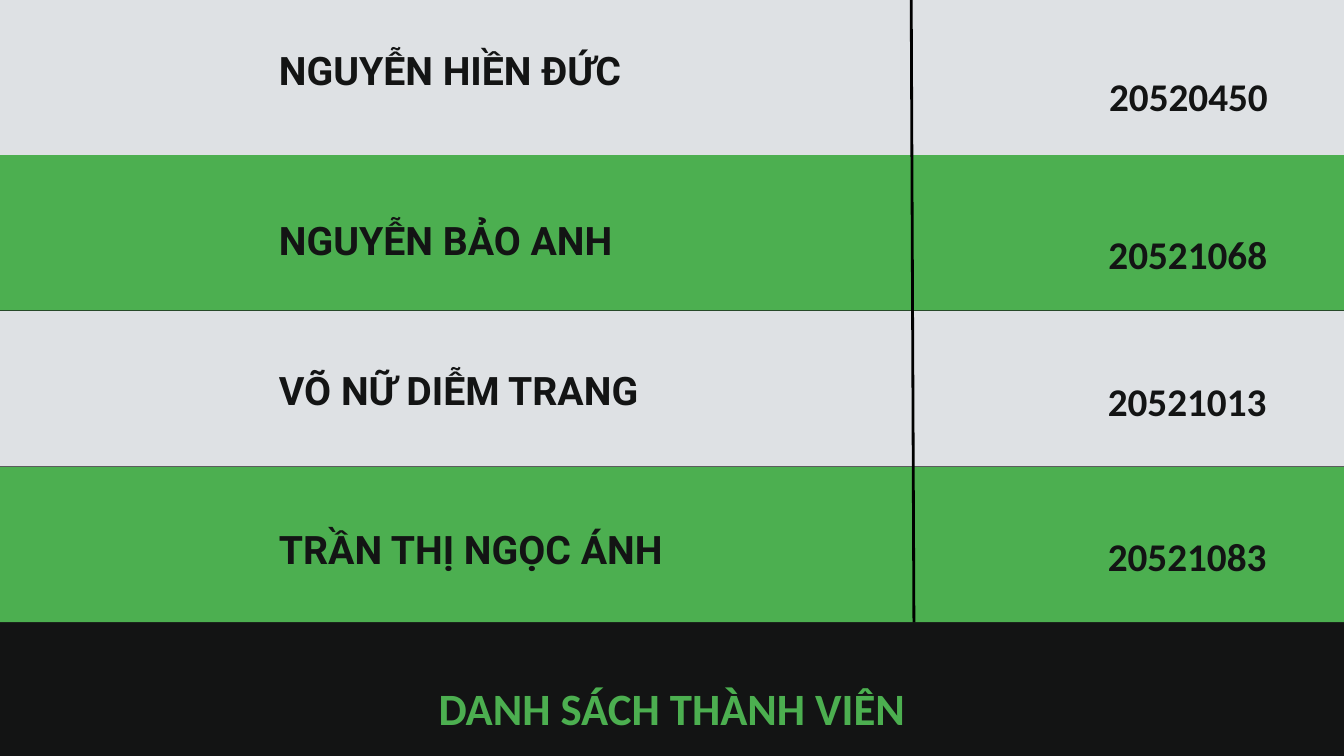
import pptx
import pptx.util
import pptx.dml.color
import pptx.enum.shapes
import pptx.enum.text
from dataclasses import dataclass
from pptx.util import Inches


@dataclass(frozen=True)
class Theme:
    dark: str = "131414"
    light: str = "DEE1E4"
    green: str = "4CAF50"
    divider: str = "000000"
    title_font: str = "Calibri"
    name_font: str = "Roboto"
    title_size: int = 48
    member_size: int = 42
    divider_width: int = 3


THEME = Theme()
ALIGN = pptx.enum.text.PP_ALIGN
WIDTH, HEIGHT = 20, 11.25
ROW_HEIGHT = 2.31
TABLE_BOTTOM = 9.26

# row top, name, name top, number, number left, number top, number line spacing
MEMBERS = [
    (0, "NGUYỄN HIỀN ĐỨC", 0.38, "20520450", 13.87, 0.77, 1.44),
    (2.31, "NGUYỄN BẢO ANH", 2.91, "20521068", 13.86, 3.12, 1.44),
    (4.63, "VÕ NỮ DIỄM TRANG", 5.15, "20521013", 13.85, 5.47, 1.2),
    (6.95, "TRẦN THỊ NGỌC ÁNH", 7.51, "20521083", 13.85, 7.78, 1.2),
]


def rgb(color):
    return pptx.dml.color.RGBColor.from_string(color)


def add_band(s, top, color):
    sp = s.shapes.add_shape(pptx.enum.shapes.MSO_SHAPE.RECTANGLE, Inches(0),
                            Inches(top), Inches(WIDTH), Inches(ROW_HEIGHT))
    sp.shadow.inherit = False
    sp.fill.solid()
    sp.fill.fore_color.rgb = rgb(color)
    sp.line.fill.background()


def add_text(s, text, left, top, width, height=0.81, *, align, font,
             size=THEME.member_size, color=THEME.dark, spacing=1.44):
    sp = s.shapes.add_textbox(Inches(left), Inches(top), Inches(width), Inches(height))
    tf = sp.text_frame
    tf.word_wrap = True
    tf.auto_size = pptx.enum.text.MSO_AUTO_SIZE.SHAPE_TO_FIT_TEXT
    tf.margin_left = tf.margin_top = tf.margin_right = tf.margin_bottom = 0
    p = tf.paragraphs[0]
    p.alignment = align
    p.line_spacing = spacing
    r = p.add_run()
    r.text = text
    r.font.name = font
    r.font.size = pptx.util.Pt(size)
    r.font.bold = True
    r.font.color.rgb = rgb(color)


def add_divider(s, x1, y1, x2, y2):
    line = s.shapes.add_connector(pptx.enum.shapes.MSO_CONNECTOR.STRAIGHT,
                                  Inches(x1), Inches(y1), Inches(x2), Inches(y2))
    line.line.color.rgb = rgb(THEME.divider)
    line.line.width = pptx.util.Pt(THEME.divider_width)
    line._element.spPr.append(pptx.oxml.parse_xml(
        '<a:effectLst xmlns:a="http://schemas.openxmlformats.org/drawingml/2006/main"/>'))


def main():
    prs = pptx.Presentation()
    prs.slide_width, prs.slide_height = Inches(WIDTH), Inches(HEIGHT)
    s = prs.slides.add_slide(prs.slide_layouts[6])
    s.background.fill.solid()
    s.background.fill.fore_color.rgb = rgb(THEME.dark)

    for i, (row_top, *_) in enumerate(MEMBERS):
        add_band(s, row_top, THEME.green if i % 2 else THEME.light)
    add_divider(s, 13.56, 0, 13.6, TABLE_BOTTOM)

    for _, name, name_top, number, left, top, spacing in MEMBERS:
        add_text(s, name, 4.15, name_top, 7.62,
                 align=ALIGN.JUSTIFY, font=THEME.name_font)
        add_text(s, number, left, top, 5, 0.71, align=ALIGN.RIGHT,
                 font=THEME.title_font, spacing=spacing)

    add_text(s, "DANH SÁCH THÀNH VIÊN", 0, 9.78, WIDTH, align=ALIGN.CENTER,
             font=THEME.title_font, size=THEME.title_size, color=THEME.green)
    prs.save("out.pptx")


if __name__ == "__main__":
    main()
